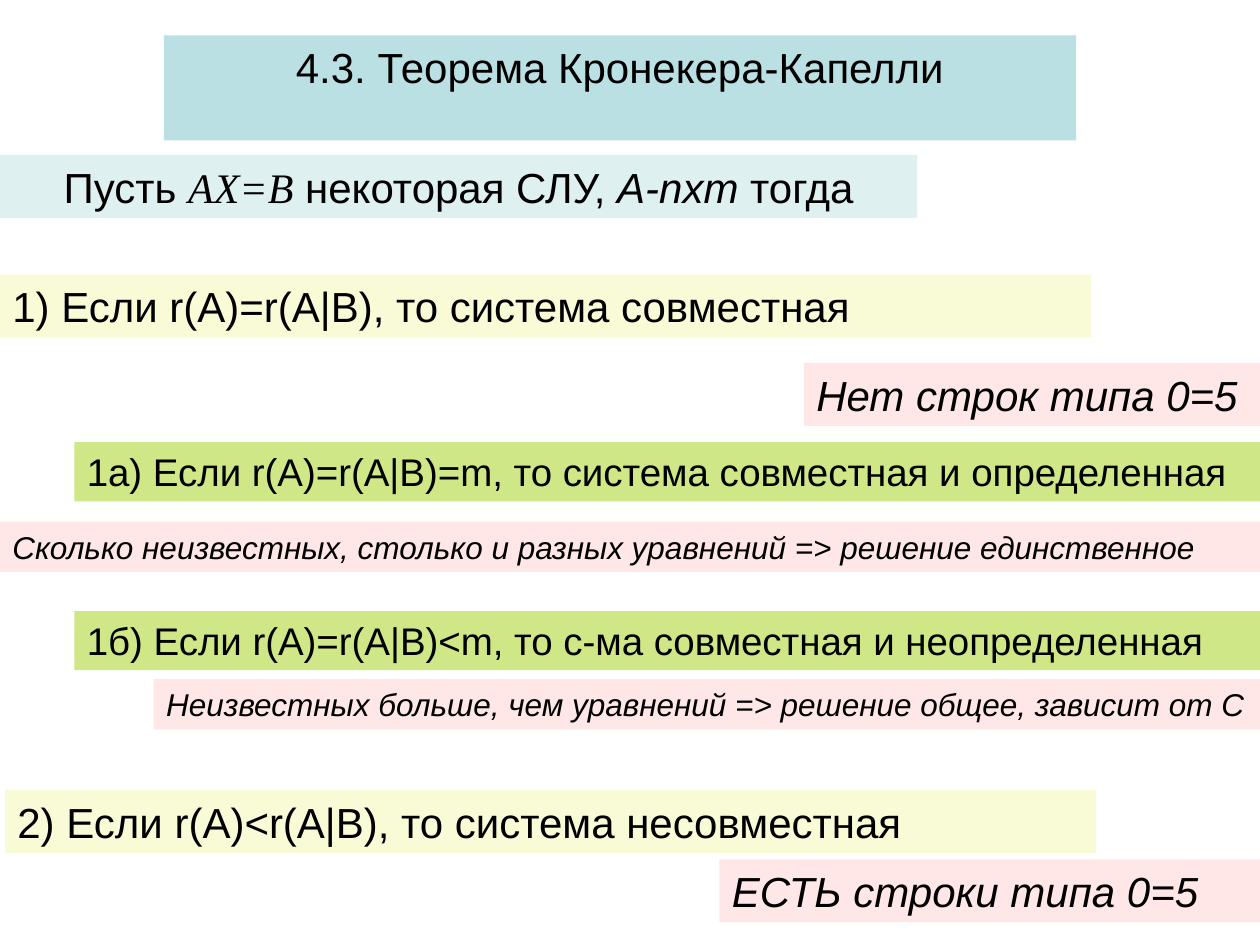
from lxml import etree
from pptx import Presentation
from pptx import util as u
from pptx.dml.color import RGBColor
from pptx.enum import shapes, text
from pptx.oxml.ns import qn

PX = u.Inches(1) // 100
SLIDE_WIDTH, SLIDE_HEIGHT = 1000, 750
BAND_HEIGHTS = {24: 50, 22: 47, 18: 40}

BLACK = RGBColor(0x00, 0x00, 0x00)
TEAL = RGBColor(0xBB, 0xE0, 0xE3)
YELLOW = RGBColor(0xF4, 0xF6, 0xA8)
GREEN = RGBColor(0x99, 0xCC, 0x00)
PINK = RGBColor(0xFF, 0xCC, 0xCC)

FRAME_FORMAT = {
    "word_wrap": True,
    "auto_size": text.MSO_AUTO_SIZE.SHAPE_TO_FIT_TEXT,
    "vertical_anchor": text.MSO_ANCHOR.TOP,
    "margin_left": 10 * PX,
    "margin_right": 10 * PX,
    "margin_top": 5 * PX,
    "margin_bottom": 5 * PX,
}


def set_attributes(target, values):
    for name, value in values.items():
        setattr(target, name, value)


def format_band(shape, box, runs, size, color, opacity=47, align=text.PP_ALIGN.LEFT):
    left, top, width = box
    position = {"left": left, "top": top, "width": width, "height": BAND_HEIGHTS[size]}
    set_attributes(shape, {name: value * PX for name, value in position.items()})
    shape.fill.solid()
    shape.fill.fore_color.rgb = color
    if opacity < 100:
        color_element = shape.fill._xPr.find(qn("a:solidFill"))[0]
        etree.SubElement(color_element, qn("a:alpha"), val=str(opacity * 1000))
    shape.line.fill.background()
    set_attributes(shape.text_frame, FRAME_FORMAT)
    paragraph = shape.text_frame.paragraphs[0]
    paragraph.alignment = align
    for words, font_name, italic in runs:
        run = paragraph.add_run()
        run.text = words
        set_attributes(run.font, {"name": font_name, "size": u.Pt(size), "italic": italic})
        run.font.color.rgb = BLACK


def add_band(slide, box, runs, size, color, **options):
    shape = slide.shapes.add_shape(shapes.MSO_SHAPE.RECTANGLE, 0, 0, PX, PX)
    shape.shadow.inherit = False
    format_band(shape, box, runs, size, color, **options)


def add_statement(slide, box, words, size, color):
    add_band(slide, box, [(words, "Arial", False)], size, color)


def add_note(slide, left, top, words, size):
    box = (left, top, SLIDE_WIDTH - left)
    add_band(slide, box, [(words, "Arial", True)], size, PINK)


def add_heading(slide, box):
    left, top, width = box
    center = text.PP_ALIGN.CENTER
    title = [("4.3. Теорема Кронекера-Капелли", "Arial", False)]
    format_band(slide.shapes.title, (left + 130, top, width - 276), title, 24, TEAL,
                opacity=100, align=center)
    premise = [
        ("Пусть ", "Arial", False),
        ("АХ=В", "Times New Roman", True),
        (" некоторая СЛУ, ", "Arial", False),
        ("A-nxm", "Arial", True),
        (" тогда", "Arial", False),
    ]
    add_band(slide, (left, top + 95, 728), premise, 24, TEAL, align=center)


def add_case(slide, box, words, note_left, note_offset, note):
    add_statement(slide, box, words, 24, YELLOW)
    add_note(slide, note_left, box[1] + note_offset, note, 24)


def add_subcase(slide, box, words, note_left, note_offset, note):
    add_statement(slide, box, words, 22, GREEN)
    add_note(slide, note_left, box[1] + note_offset, note, 18)


def main():
    presentation = Presentation()
    set_attributes(presentation, {"slide_width": SLIDE_WIDTH * PX,
                                  "slide_height": SLIDE_HEIGHT * PX})
    slide = presentation.slides.add_slide(presentation.slide_layouts[5])
    add_heading(slide, (0, 28, SLIDE_WIDTH))
    add_case(slide, (0, 218, 866), "1) Если r(A)=r(A|B), то система совместная",
             638, 70, "Нет строк типа 0=5")
    add_subcase(slide, (59, 351, 941),
                "1а) Если r(A)=r(A|B)=m, то система совместная и определенная", 0, 63,
                "Сколько неизвестных, столько и разных уравнений => решение единственное")
    add_subcase(slide, (59, 485, 941),
                "1б) Если r(A)=r(A|B)<m, то с-ма совместная и неопределенная", 122, 54,
                "Неизвестных больше, чем уравнений => решение общее, зависит от С")
    add_case(slide, (4, 627, 866), "2) Если r(A)<r(A|B), то система несовместная",
             571, 55, "ЕСТЬ строки типа 0=5")
    presentation.save("out.pptx")


if __name__ == "__main__":
    main()
